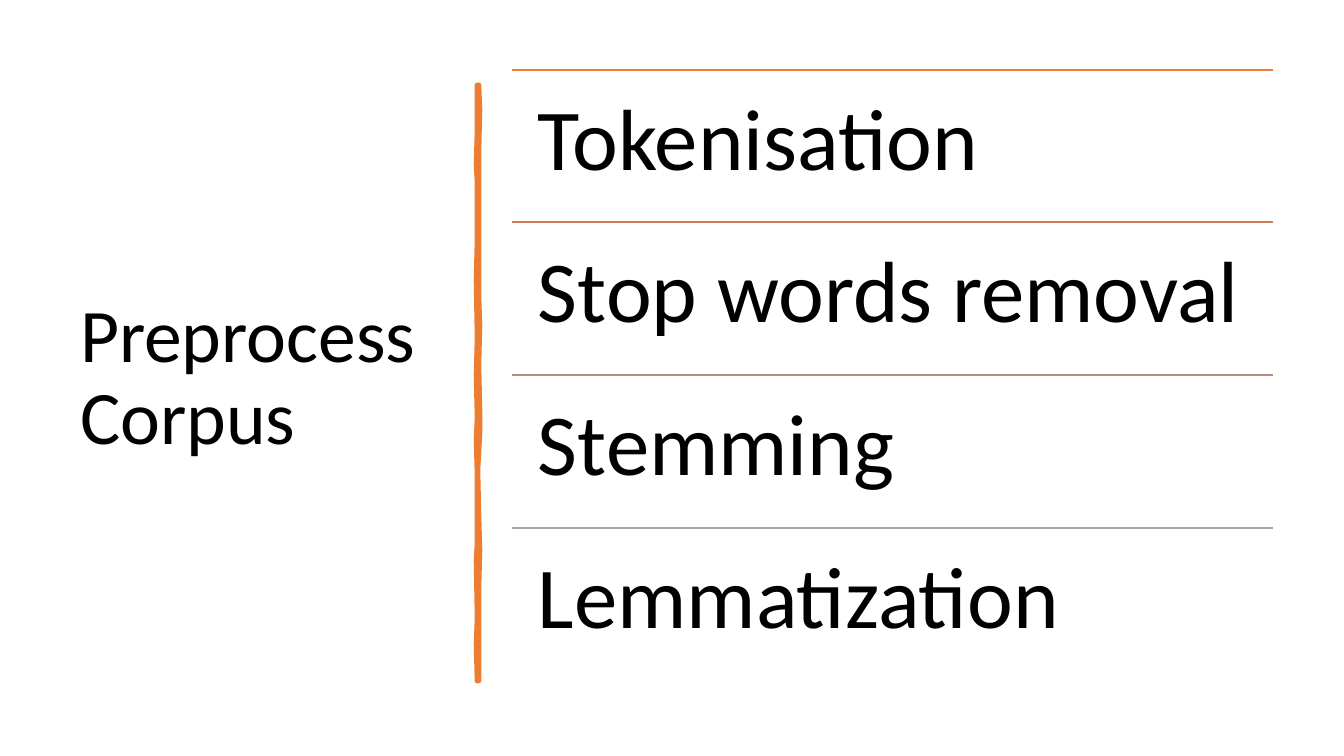
from pptx import Presentation
from pptx.dml.color import RGBColor
from pptx.enum.shapes import MSO_CONNECTOR
from pptx.enum.text import MSO_ANCHOR
from pptx.oxml.ns import qn
from pptx.util import Pt
from lxml import etree

STRAIGHT = MSO_CONNECTOR.STRAIGHT
TOP, MIDDLE = MSO_ANCHOR.TOP, MSO_ANCHOR.MIDDLE
PIXEL = 9071  # EMU per pixel at 100.8 pixels to the inch
ORANGE = "ED7D31"


def color(value):
    """Turn a hex string into a colour."""
    return RGBColor.from_string(value)


def add_text(page, text, bounds, size, anchor, insets):
    """Add a wrapped Calibri text box; bounds and (side, top) insets in pixels."""
    box = page.shapes.add_textbox(*[value * PIXEL for value in bounds])
    frame = box.text_frame
    frame.word_wrap = True
    frame.vertical_anchor = anchor
    frame.margin_left = frame.margin_right = insets[0] * PIXEL
    frame.margin_top = frame.margin_bottom = insets[1] * PIXEL
    frame.text = text
    para = frame.paragraphs[0]
    para.line_spacing = 0.9
    font = para.runs[0].font
    font.name, font.size = "Calibri", Pt(size)
    font.color.rgb = color("000000")


deck = Presentation()
deck.slide_width, deck.slide_height = 1344 * PIXEL, 756 * PIXEL
page = deck.slides.add_slide(deck.slide_layouts[6])

add_text(page, "Preprocess Corpus", (70, 71, 377, 616), 54, MIDDLE, (10, 5))

# Hand-drawn divider: down the right edge, then back up the left edge
right_edge = [(479, 85), (480, 110), (479, 153), (479, 228), (479, 296),
              (480, 325), (479, 365), (480, 410), (480, 433), (478, 470),
              (479, 514), (480, 550), (479, 589), (479, 681)]
left_edge = [(477, 681), (476, 645), (477, 618), (476, 560), (477, 543),
             (477, 475), (476, 440), (477, 418), (476, 375), (477, 338),
             (476, 280), (477, 240), (477, 182), (476, 165), (477, 130),
             (477, 85)]
builder = page.shapes.build_freeform(*right_edge[0], scale=PIXEL)
builder.add_line_segments(right_edge[1:] + left_edge, close=True)
divider = builder.convert_to_shape()
divider.shadow.inherit = False
divider.fill.solid()
divider.fill.fore_color.rgb = color(ORANGE)
divider.line.color.rgb = color(ORANGE)
divider.line.width = Pt(3.25)

steps = [("Tokenisation", ORANGE), ("Stop words removal", "D17B5C"),
         ("Stemming", "B98A82"), ("Lemmatization", "A5A5A5")]
list_left, list_top, list_width, step_height = 512, 70, 761, 152.5
for index, (step, rule_color) in enumerate(steps):
    top = round(list_top + index * step_height)
    ends = (list_left, top, list_left + list_width, top)
    rule = page.shapes.add_connector(STRAIGHT, *[value * PIXEL for value in ends])
    rule.line.color.rgb = color(rule_color)
    rule.line.width = Pt(1)
    etree.SubElement(rule._element.spPr, qn("a:effectLst"))
    add_text(page, step, (list_left, top, list_width, 152), 62, TOP, (26, 26))

deck.save("out.pptx")
